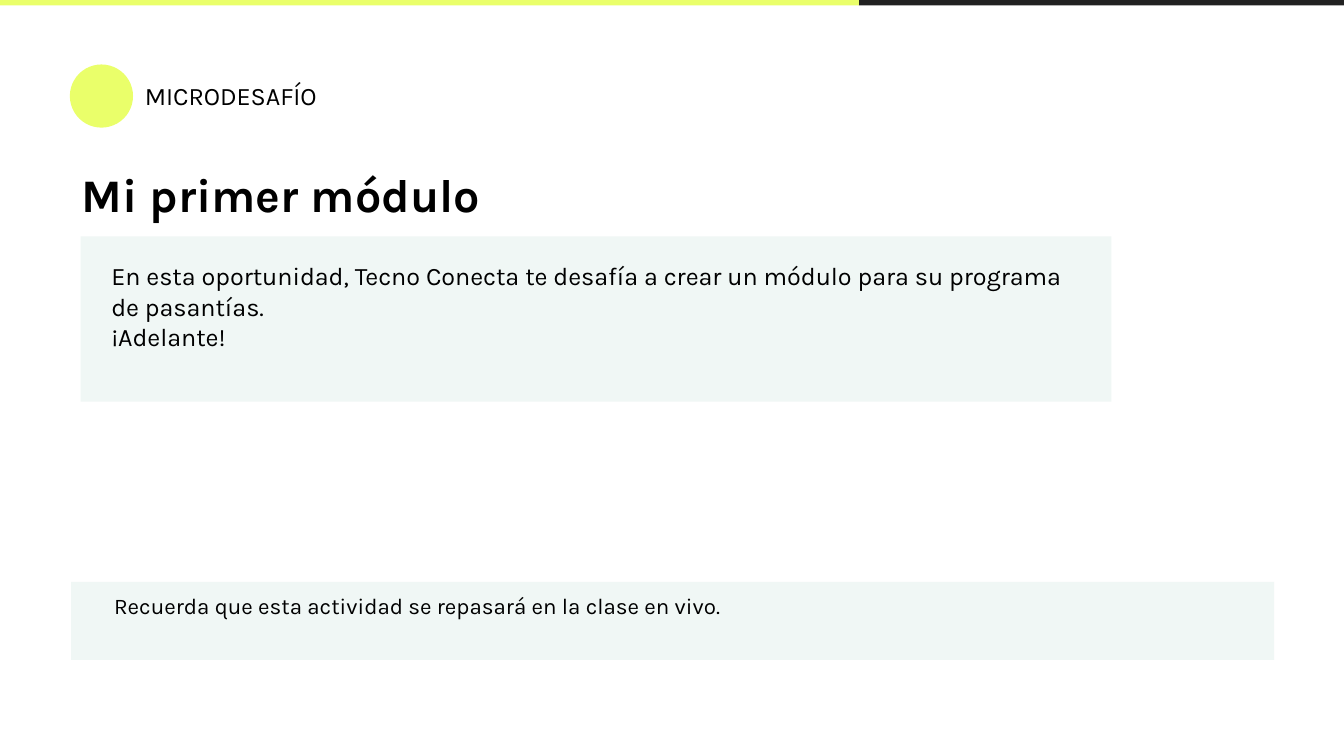
from pptx import Presentation
from pptx.dml.color import RGBColor
from pptx.enum.shapes import MSO_SHAPE as SHAPE
from pptx.enum.text import MSO_ANCHOR as ANCHOR, MSO_AUTO_SIZE as AUTO, PP_ALIGN as ALIGN
from pptx.util import Inches, Pt

BLACK = RGBColor(0x00, 0x00, 0x00)
DARK = RGBColor(0x21, 0x21, 0x21)
LIME = RGBColor(0xEA, 0xFF, 0x6A)
MINT = RGBColor(0xF0, 0xF7, 0xF5)
FONT = "Karla"


def add_block(s, kind, box, color):
    sp = s.shapes.add_shape(kind, *map(Inches, box))
    sp.shadow.inherit = False
    sp.fill.solid()
    sp.fill.fore_color.rgb = color
    sp.line.fill.background()


def write(sp, lines, size, bold=False):
    tf = sp.text_frame
    tf.word_wrap = True
    tf.auto_size = AUTO.NONE
    tf.vertical_anchor = ANCHOR.TOP
    tf.margin_left = tf.margin_right = tf.margin_top = tf.margin_bottom = Inches(0.1)
    for i, line in enumerate(lines):
        p = tf.add_paragraph() if i else tf.paragraphs[0]
        p.alignment = ALIGN.LEFT
        r = p.add_run()
        r.text = line
        r.font.name = FONT
        r.font.size = Pt(size)
        r.font.bold = bold
        r.font.color.rgb = BLACK


prs = Presentation()
prs.slide_width = Inches(10)
prs.slide_height = prs.slide_width * 9 // 16
s = prs.slides.add_slide(prs.slide_layouts[5])

blocks = [
    (SHAPE.RECTANGLE, (0.6, 1.76, 7.67, 1.23), MINT),
    (SHAPE.RECTANGLE, (6.39, -0.01, 3.61, 0.05), DARK),
    (SHAPE.RECTANGLE, (0, -0.01, 6.39, 0.05), LIME),
    (SHAPE.OVAL, (0.52, 0.48, 0.47, 0.47), LIME),
    (SHAPE.RECTANGLE, (0.53, 4.33, 8.95, 0.58), MINT),
]
for kind, box, color in blocks:
    add_block(s, kind, box, color)

title = s.shapes.title
title.left, title.top, title.width, title.height = map(Inches, (0.51, 1.18, 8.04, 0.58))
write(title, ["Mi primer módulo"], 25, bold=True)
title.text_frame.paragraphs[0].line_spacing = 0.9

texts = [
    ((0.98, 0.5, 3.28, 0.43), 13.5, ["MICRODESAFÍO"]),
    ((0.73, 1.84, 7.43, 0.88), 13.5, [
        "En esta oportunidad, Tecno Conecta te desafía a crear un módulo para su programa de pasantías.",
        "¡Adelante!",
    ]),
    ((0.75, 4.31, 6.69, 0.4), 12, [
        "Recuerda que esta actividad se repasará en la clase en vivo.",
    ]),
]
for box, size, lines in texts:
    write(s.shapes.add_textbox(*map(Inches, box)), lines, size)

prs.save("out.pptx")
